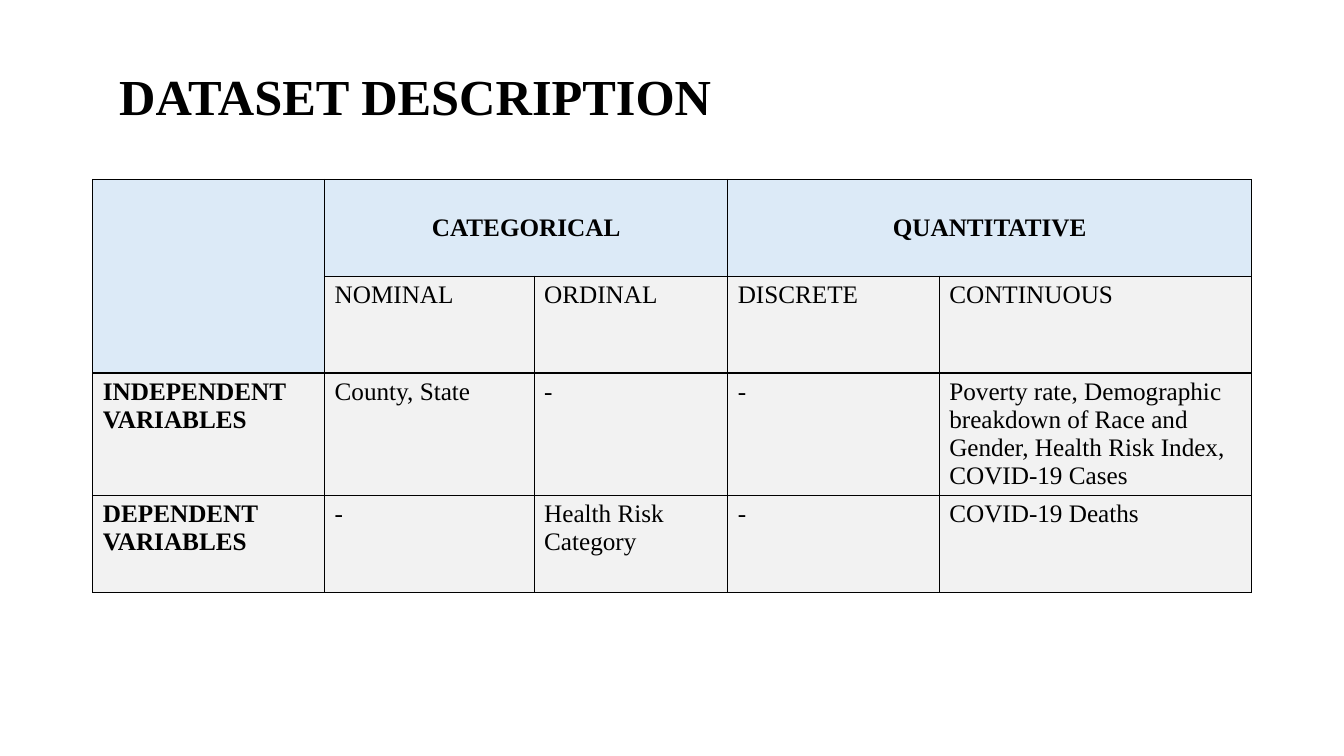
from lxml import etree
from pptx import Presentation
from pptx.dml.color import RGBColor
from pptx.enum import text
from pptx.oxml import ns
from pptx.util import Cm, Pt

FONT = "Times New Roman"
BLACK = RGBColor(0x00, 0x00, 0x00)
HEADER_BLUE = RGBColor(0xDC, 0xEA, 0xF7)
BODY_GREY = RGBColor(0xF2, 0xF2, 0xF2)

COLUMN_WIDTHS = (5.84, 5.28, 4.88, 5.33, 7.87)
ROW_HEIGHTS = (2.44, 2.44, 3.08, 2.44)
ROWS = (
    ("", "CATEGORICAL", "", "QUANTITATIVE", ""),
    ("", "NOMINAL", "ORDINAL", "DISCRETE", "CONTINUOUS"),
    ("INDEPENDENT VARIABLES", "County, State", "-", "-",
     "Poverty rate, Demographic breakdown of Race and Gender, "
     "Health Risk Index, COVID-19 Cases"),
    ("DEPENDENT VARIABLES", "-", "Health Risk Category", "-",
     "COVID-19 Deaths"),
)
# First and last (row, column) of each merged header
MERGES = (((0, 0), (1, 0)), ((0, 1), (0, 2)), ((0, 3), (0, 4)))


def format_paragraph(p, size, bold, align):
    p.alignment = align
    p.font.name = FONT
    p.font.size = Pt(size)
    p.font.bold = bold
    p.font.color.rgb = BLACK


def add_title(slide, title):
    sp = slide.shapes.title
    sp.left, sp.top, sp.width, sp.height = Cm(1.65), Cm(1.5), Cm(17.63), Cm(1.98)
    tf = sp.text_frame
    tf.text = title
    tf.word_wrap = True
    tf.vertical_anchor = text.MSO_ANCHOR.MIDDLE
    p = tf.paragraphs[0]
    p.line_spacing = 0.9
    format_paragraph(p, 36, True, text.PP_ALIGN.CENTER)


def set_borders(cell):
    """Draw a thin black line on all four sides of the cell."""
    tc_pr = cell._tc.get_or_add_tcPr()
    for side in ("lnL", "lnR", "lnT", "lnB"):
        ln = etree.SubElement(tc_pr, ns.qn(f"a:{side}"), w=str(Pt(1)))
        fill = etree.SubElement(ln, ns.qn("a:solidFill"))
        etree.SubElement(fill, ns.qn("a:srgbClr"), val=str(BLACK))


def fill_cell(cell, content, row, column):
    is_header = row == 0 or (row == 1 and column == 0)
    set_borders(cell)
    cell.fill.solid()
    cell.fill.fore_color.rgb = HEADER_BLUE if is_header else BODY_GREY
    cell.vertical_anchor = (
        text.MSO_ANCHOR.MIDDLE if is_header else text.MSO_ANCHOR.TOP)
    cell.text = content
    align = text.PP_ALIGN.CENTER if is_header else text.PP_ALIGN.LEFT
    format_paragraph(cell.text_frame.paragraphs[0], 18,
                     is_header or column == 0, align)


def add_variable_table(slide):
    table = slide.shapes.add_table(
        len(ROWS), len(COLUMN_WIDTHS), Cm(2.34), Cm(4.52),
        Cm(sum(COLUMN_WIDTHS)), Cm(sum(ROW_HEIGHTS))).table
    table.first_row = table.horz_banding = False
    for column, width in zip(table.columns, COLUMN_WIDTHS):
        column.width = Cm(width)
    for row, height in zip(table.rows, ROW_HEIGHTS):
        row.height = Cm(height)
    for i, contents in enumerate(ROWS):
        for j, content in enumerate(contents):
            fill_cell(table.cell(i, j), content, i, j)
    for first, last in MERGES:
        table.cell(*first).merge(table.cell(*last))


def main():
    prs = Presentation()
    prs.slide_width, prs.slide_height = Cm(33.87), Cm(19.05)
    slide = prs.slides.add_slide(prs.slide_layouts.get_by_name("Title Only"))
    add_title(slide, "DATASET DESCRIPTION")
    add_variable_table(slide)
    prs.save("out.pptx")


if __name__ == "__main__":
    main()
